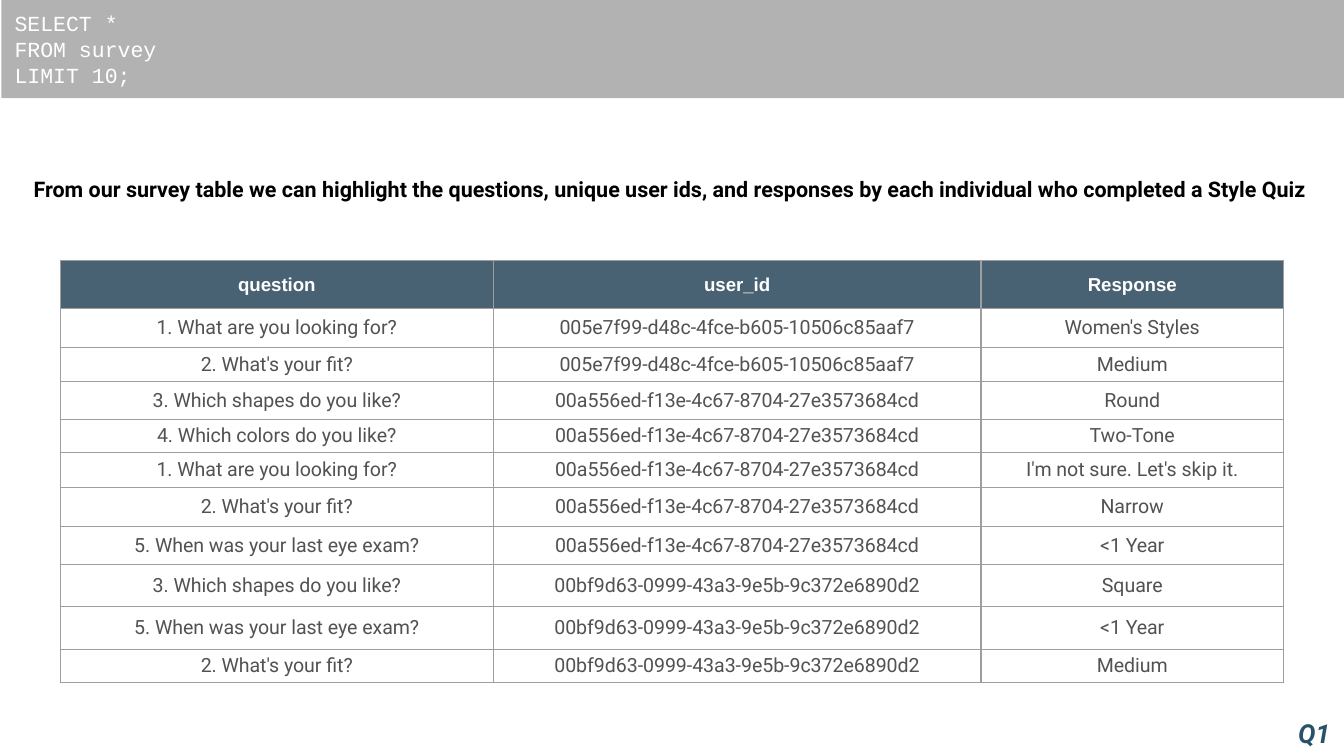
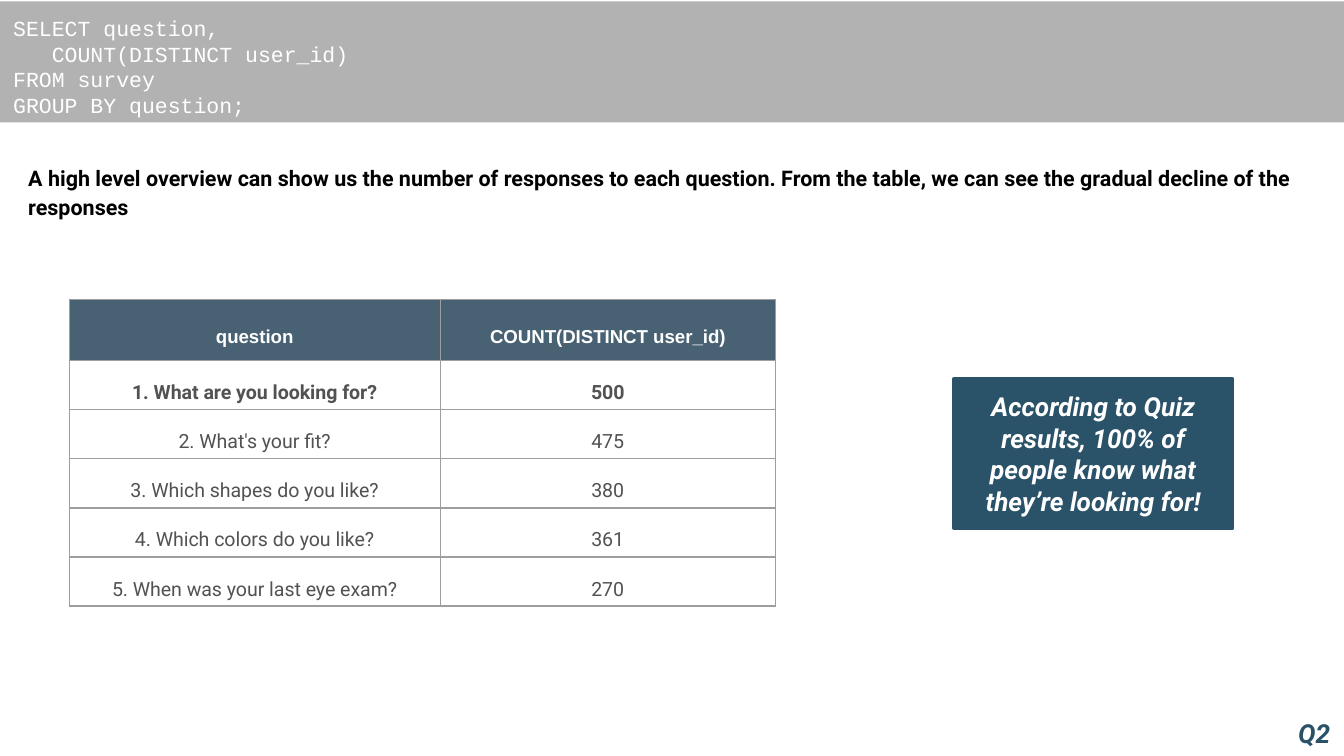
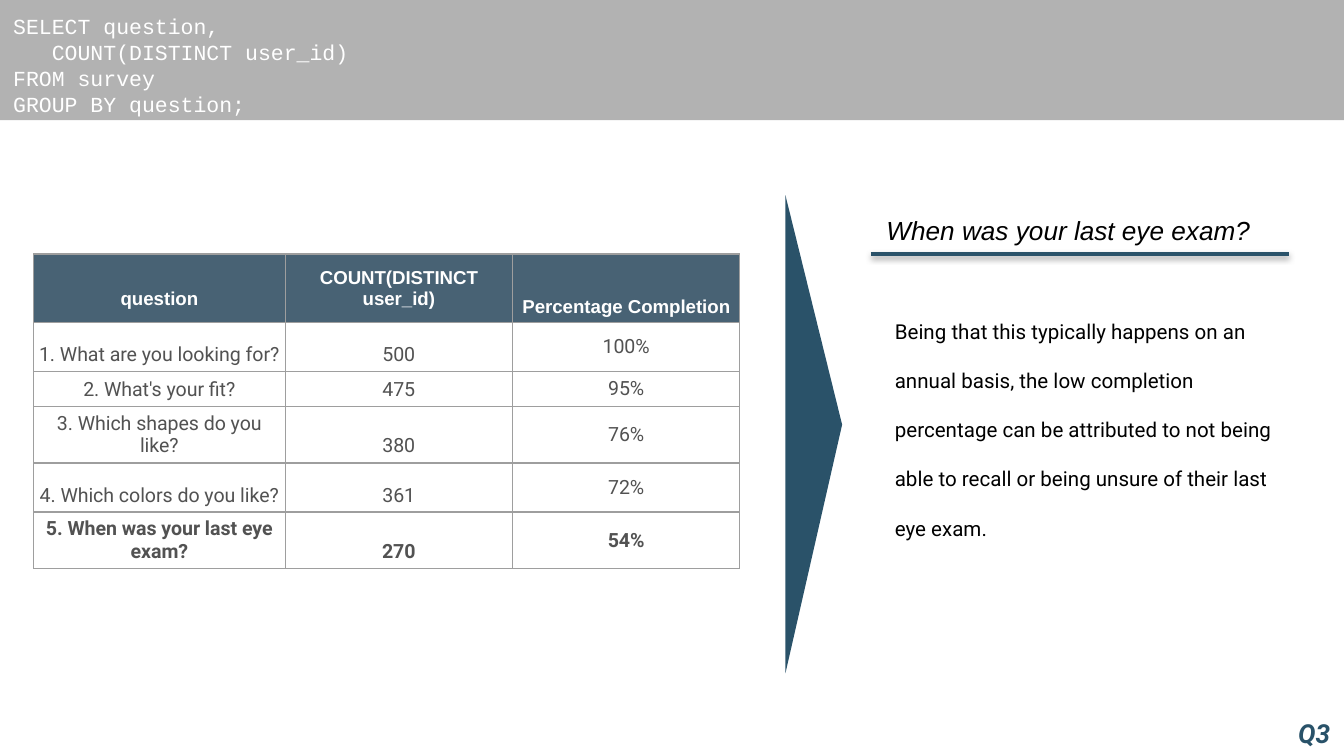
from lxml.etree import SubElement
from pptx import Presentation
from pptx.dml.color import RGBColor
from pptx.enum.shapes import MSO_CONNECTOR, MSO_SHAPE
from pptx.enum.text import MSO_ANCHOR, MSO_AUTO_SIZE, PP_ALIGN
from pptx.oxml import parse_xml
from pptx.oxml.ns import nsdecls, qn
from pptx.util import Emu, Inches, Pt

COLORS = {
    "white": "FFFFFF",
    "black": "000000",
    "band": "B2B2B2",
    "header": "204056",
    "body": "525252",
    "border": "9E9E9E",
    "accent": "2A5269",
    "tag": "295269",
}
TOP, MIDDLE, BOTTOM = MSO_ANCHOR.TOP, MSO_ANCHOR.MIDDLE, MSO_ANCHOR.BOTTOM

LOOKING = "1. What are you looking for?"
FIT = "2. What's your fit?"
SHAPES = "3. Which shapes do you like?"
COLORS_LIKED = "4. Which colors do you like?"
EXAM = "5. When was your last eye exam?"
USERS = [
    "005e7f99-d48c-4fce-b605-10506c85aaf7",
    "00a556ed-f13e-4c67-8704-27e3573684cd",
    "00bf9d63-0999-43a3-9e5b-9c372e6890d2",
]
COUNTS = [(LOOKING, 500), (FIT, 475), (SHAPES, 380), (COLORS_LIKED, 361), (EXAM, 270)]
COUNT_QUERY = [
    "SELECT question,",
    "   COUNT(DISTINCT user_id)",
    "FROM survey",
    "GROUP BY question;",
]
HEADLINE = {"font": "Roboto", "size": 11.5, "bold": True, "spacing": 1.15}

PAGES = [
    {
        "query": ["SELECT *", "FROM survey", "LIMIT 10;"],
        "band_place": (0.1, 0, 99.9, 13),
        "band_anchor": MIDDLE,
        "band_inset": 0.05,
        "title": "From our survey table we can highlight the questions, unique user ids, "
                 "and responses by each individual who completed a Style Quiz",
        "title_place": (1.5, 21, 97, 6),
        "title_inset": 0.1,
        "title_style": HEADLINE,
        "table_corner": (4.5, 34.5),
        "columns": [32.2, 36.3, 22.5],
        "rows": [5.3, 5.2, 3.9, 5, 4.3, 4.6, 5.2, 5, 5.5, 5.7, 3.9],
        "header_anchor": TOP,
        "header_insets": [0.1, 0.1, 0.1],
        "anchors": [MIDDLE] * 3,
        "bold_row": None,
        "cells": [
            ("question", "user_id", "Response"),
            (LOOKING, USERS[0], "Women's Styles"),
            (FIT, USERS[0], "Medium"),
            (SHAPES, USERS[1], "Round"),
            (COLORS_LIKED, USERS[1], "Two-Tone"),
            (LOOKING, USERS[1], "I'm not sure. Let's skip it."),
            (FIT, USERS[1], "Narrow"),
            (EXAM, USERS[1], "<1 Year"),
            (SHAPES, USERS[2], "Square"),
            (EXAM, USERS[2], "<1 Year"),
            (FIT, USERS[2], "Medium"),
        ],
    },
    {
        "query": COUNT_QUERY,
        "band_place": (0, 0.2, 100, 16),
        "band_anchor": TOP,
        "band_inset": 0.1,
        "title": "A high level overview can show us the number of responses to each question. "
                 "From the table, we can see the gradual decline of the responses",
        "title_place": (1.1, 19.5, 97.7, 10.1),
        "title_inset": 0.1,
        "title_style": HEADLINE,
        "table_corner": (5.15, 39.6),
        "columns": [27.6, 24.95],
        "rows": [8.1] + [6.5] * 5,
        "header_anchor": BOTTOM,
        "header_insets": [0.1, 0.1],
        "anchors": [BOTTOM] * 2,
        "bold_row": 1,
        "cells": [("question", "COUNT(DISTINCT user_id)")] + COUNTS,
    },
    {
        "query": COUNT_QUERY,
        "band_place": (0, 0, 100, 15.9),
        "band_anchor": TOP,
        "band_inset": 0.1,
        "title": "When was your last eye exam?",
        "title_place": (63.9, 27.5, 31.2, 6),
        "title_inset": 0.05,
        "title_style": {"font": "Arial", "size": 14, "italic": True, "align": PP_ALIGN.CENTER},
        "table_corner": (2.5, 33.6),
        "columns": [18.72, 16.92, 16.92],
        "rows": [8.1, 6.5, 4.6, 6.5, 6.5, 6.5],
        "header_anchor": BOTTOM,
        "header_insets": [0.1, 0.1, 0.04],
        "anchors": [BOTTOM, BOTTOM, MIDDLE],
        "bold_row": 5,
        "cells": [("question", "COUNT(DISTINCT user_id)", "Percentage Completion")]
        + [(question, count, f"{count / 500:.0%}") for question, count in COUNTS],
    },
]

deck = Presentation()
deck.slide_width = Inches(10)
deck.slide_height = deck.slide_width * 9 // 16


def share(left, top, width, height):
    across, down = deck.slide_width / 100, deck.slide_height / 100
    return [Emu(round(length)) for length in (left * across, top * down, width * across, height * down)]


def write(frame, lines, font, size, color="black", bold=False, italic=False,
          align=PP_ALIGN.LEFT, spacing=1.0):
    frame.text = "\n".join(lines)
    for para in frame.paragraphs:
        para.alignment = align
        para.line_spacing = spacing
        para.font.name = font
        para.font.size = Pt(size)
        para.font.bold = bold
        para.font.italic = italic
        para.font.color.rgb = RGBColor.from_string(COLORS[color])


slides = []
for number, page in enumerate(PAGES, 1):
    slide = deck.slides.add_slide(deck.slide_layouts[5])
    slides.append(slide)

    band = slide.shapes.add_shape(MSO_SHAPE.RECTANGLE, *share(*page["band_place"]))
    band.shadow.inherit = False
    band.fill.solid()
    band.fill.fore_color.rgb = RGBColor.from_string(COLORS["band"])
    band.line.fill.background()
    band.text_frame.margin_top = band.text_frame.margin_bottom = Inches(page["band_inset"])
    band.text_frame.vertical_anchor = page["band_anchor"]
    write(band.text_frame, page["query"], "Courier New", 11.5, "white")

    title = slide.shapes.title
    title.left, title.top, title.width, title.height = share(*page["title_place"])
    frame = title.text_frame
    write(frame, [page["title"]], **page["title_style"])
    frame.word_wrap = True
    frame.auto_size = MSO_AUTO_SIZE.NONE
    frame.vertical_anchor = TOP
    frame.margin_top = frame.margin_bottom = Inches(page["title_inset"])

    columns, rows = page["columns"], page["rows"]
    place = share(*page["table_corner"], sum(columns), sum(rows))
    table = slide.shapes.add_table(len(rows), len(columns), *place).table
    table.first_row = table.horz_banding = False
    for column, width in zip(table.columns, columns):
        column.width = share(0, 0, width, 0)[2]
    for row_index, (row, height) in enumerate(zip(table.rows, rows)):
        row.height = share(0, 0, 0, height)[3]
        for column_index, cell in enumerate(row.cells):
            text = str(page["cells"][row_index][column_index])
            properties = cell._tc.get_or_add_tcPr()
            for edge in ("lnL", "lnR", "lnT", "lnB"):
                border = SubElement(properties, qn(f"a:{edge}"), w=str(Pt(0.75)))
                paint = SubElement(border, qn("a:solidFill"))
                SubElement(paint, qn("a:srgbClr"), val=COLORS["border"])
            if row_index == 0:
                inset = page["header_insets"][column_index]
                cell.vertical_anchor = page["header_anchor"]
                cell.fill.solid()
                cell.fill.fore_color.rgb = RGBColor.from_string(COLORS["header"])
                tint = properties.find(qn("a:solidFill")).find(qn("a:srgbClr"))
                SubElement(tint, qn("a:alpha"), val="82000")
                write(cell.text_frame, [text], "Arial", 10, "white", bold=True, align=PP_ALIGN.CENTER)
            else:
                inset = 0.04
                cell.vertical_anchor = page["anchors"][column_index]
                cell.fill.background()
                write(cell.text_frame, [text], "Roboto", 10.5, "body",
                      bold=row_index == page["bold_row"], align=PP_ALIGN.CENTER)
            cell.margin_left = cell.margin_right = Inches(inset)
            cell.margin_top = cell.margin_bottom = Inches(inset)

    tag = slide.shapes.add_textbox(*share(95.6, 94, 4.4, 6))
    tag.text_frame.margin_right = 0
    write(tag.text_frame, [f"Q{number}"], "Roboto", 14, "tag", bold=True, italic=True)

callout = slides[1].shapes.add_shape(MSO_SHAPE.RECTANGLE, *share(71, 50.1, 20.7, 19.8))
callout.line.color.rgb = RGBColor.from_string(COLORS["accent"])
callout.line.width = Pt(2)
callout.text_frame.vertical_anchor = MIDDLE
write(callout.text_frame,
      ["According to Quiz results, 100% of people know what they’re looking for!"],
      "Roboto", 14, "white", bold=True, italic=True, align=PP_ALIGN.CENTER)

pointer = slides[2].shapes.add_shape(MSO_SHAPE.ISOSCELES_TRIANGLE, *share(42.75, 53.7, 35.6, 7.5))
pointer.adjustments[0] = 0.48
pointer.rotation = 90
pointer.line.fill.background()

for shape in (callout, pointer):
    shape.shadow.inherit = False
    shape.fill.solid()
    shape.fill.fore_color.rgb = RGBColor.from_string(COLORS["accent"])

start_x, line_y, end_x, _ = share(64.8, 33.6, 95.9, 0)
underline = slides[2].shapes.add_connector(MSO_CONNECTOR.STRAIGHT, start_x, line_y, end_x, line_y)
underline.line.color.rgb = RGBColor.from_string(COLORS["accent"])
underline.line.width = Pt(2)
underline._element.spPr.append(parse_xml(
    f'<a:effectLst {nsdecls("a")}><a:outerShdw blurRad="40000" dist="20000" dir="5400000" rotWithShape="0">'
    f'<a:srgbClr val="{COLORS["black"]}"><a:alpha val="38000"/></a:srgbClr></a:outerShdw></a:effectLst>'))

reason = slides[2].shapes.add_textbox(*share(65.6, 38, 30.3, 39))
reason.text_frame.word_wrap = True
write(reason.text_frame,
      ["Being that this typically happens on an annual basis, the low completion percentage can be "
       "attributed to not being able to recall or being unsure of their last eye exam."],
      "Roboto", 11, spacing=2.0)

deck.save("out.pptx")
